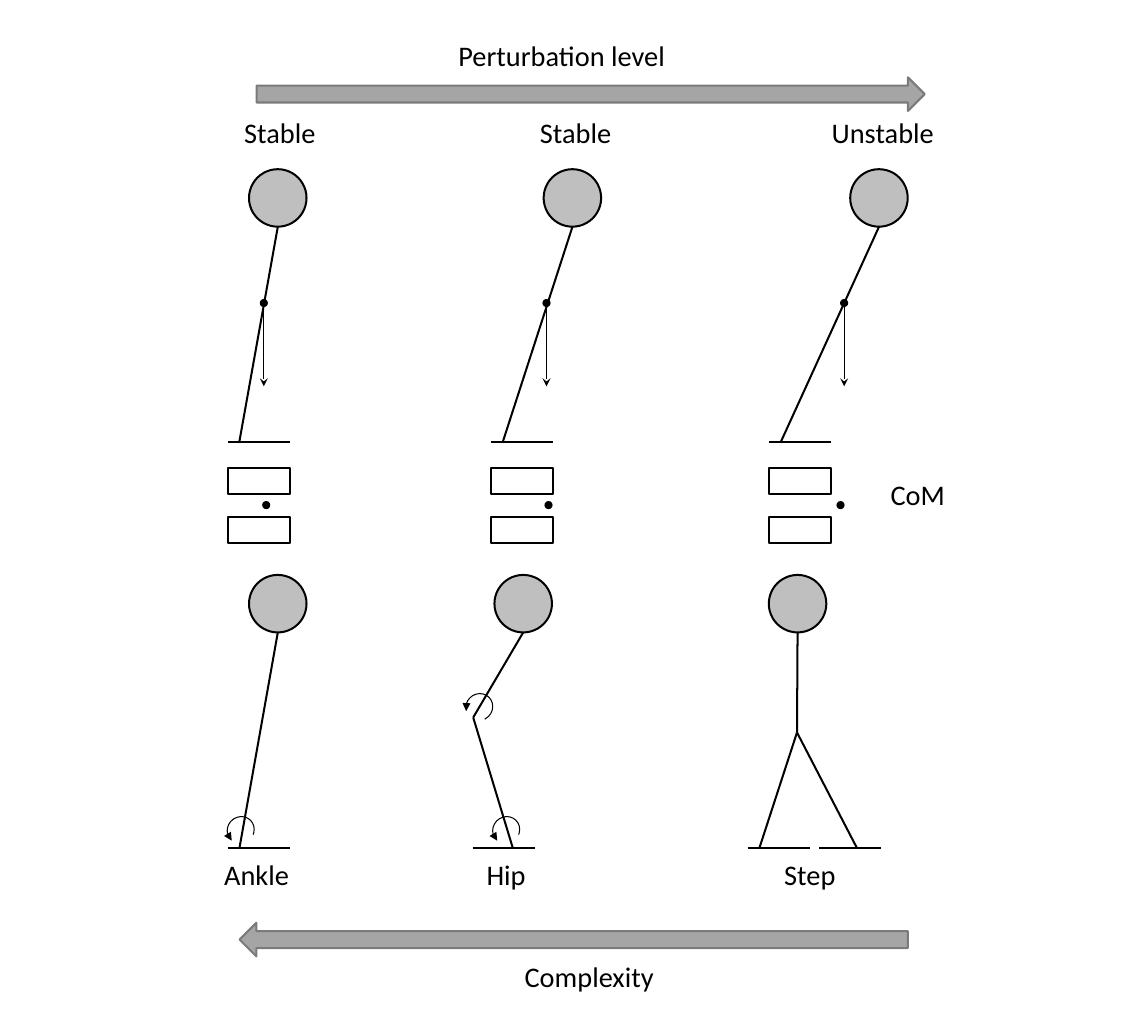
from dataclasses import dataclass

from lxml import etree
from pptx import Presentation
from pptx.dml.color import RGBColor
from pptx.enum import shapes, text
from pptx.oxml import ns
from pptx.util import Pt


@dataclass(frozen=True)
class Theme:
    ink: str = "000000"
    paper: str = "FFFFFF"
    head: str = "BFBFBF"
    arrow: str = "A5A5A5"
    arrow_edge: str = "7A7A7A"
    font: str = "Calibri"
    label_size: float = 14
    line: float = 1
    thin_line: float = 0.5


THEME = Theme()
SHAPE = shapes.MSO_SHAPE

# Shared measures, in points
HEAD = 28.4
DOT = 3
FOOT = 30.8
HEEL_TO_ANKLE = 5.8
SOLE_HEIGHT = 13
BODY_HEIGHT = 134.7  # top of the head to the ground
TOP_ROW, BOTTOM_ROW = 83.6, 284


def set_attributes(target, values):
    for name, value in values.items():
        setattr(target, name, value)


def style_line(line, color, width):
    line.color.rgb = RGBColor.from_string(color)
    line.width = Pt(width)


def add_line_end(shape, end, kind):
    """Put a small arrowhead on the headEnd (start) or tailEnd (finish) of a line."""
    line = shape.line._get_or_add_ln()
    etree.SubElement(line, ns.qn(f"a:{end}"), type=kind, w="sm", len="sm")


def add_preset(slide, preset, left, top, width, height, fill=None,
               edge=THEME.ink, line_width=THEME.line, rotation=0):
    shape = slide.shapes.add_shape(preset, Pt(left), Pt(top), Pt(width), Pt(height))
    shape.shadow.inherit = False
    shape.rotation = rotation
    if fill:
        shape.fill.solid()
        shape.fill.fore_color.rgb = RGBColor.from_string(fill)
    else:
        shape.fill.background()
    style_line(shape.line, edge, line_width)
    return shape


def add_line(slide, start, finish, width=THEME.line, tail=None):
    connector = slide.shapes.add_connector(
        shapes.MSO_CONNECTOR.STRAIGHT, *map(Pt, (*start, *finish)))
    style_line(connector.line, THEME.ink, width)
    if tail:
        add_line_end(connector, "tailEnd", tail)
    etree.SubElement(connector._element.spPr, ns.qn("a:effectLst"))


def add_chain(slide, *points):
    for start, finish in zip(points, points[1:]):
        add_line(slide, start, finish)


def add_label(slide, words, left, top, width):
    box = slide.shapes.add_textbox(Pt(left), Pt(top), Pt(width), Pt(24.2))
    set_attributes(box.text_frame, {
        "word_wrap": False,
        "auto_size": text.MSO_AUTO_SIZE.SHAPE_TO_FIT_TEXT,
    })
    run = box.text_frame.paragraphs[0].add_run()
    run.text = words
    set_attributes(run.font, {"name": THEME.font, "size": Pt(THEME.label_size)})
    run.font.color.rgb = RGBColor.from_string(THEME.ink)


def add_scale_arrow(slide, left, top, rotation=0):
    add_preset(slide, SHAPE.RIGHT_ARROW, left, top, 330, 16.6,
               THEME.arrow, THEME.arrow_edge, rotation=rotation)


def add_circle(slide, center_x, center_y, size, fill):
    add_preset(slide, SHAPE.OVAL, center_x - size / 2, center_y - size / 2,
               size, size, fill)


def add_head(slide, center_x, top):
    """Draw a head and return the neck point."""
    add_circle(slide, center_x, top + HEAD / 2, HEAD, THEME.head)
    return center_x, top + HEAD


def add_foot(slide, heel, ground):
    add_line(slide, (heel, ground), (heel + FOOT, ground))


def add_joint_turn(slide, left, top, angles):
    arc = add_preset(slide, SHAPE.ARC, left, top, 13.7, 13,
                     line_width=THEME.thin_line, rotation=133.7)
    for index, angle in enumerate(angles):
        arc.adjustments[index] = angle
    add_line_end(arc, "headEnd", "triangle")


def add_leaning_figure(slide, head_x, heel, mass_x):
    ground = TOP_ROW + BODY_HEIGHT
    neck = add_head(slide, head_x, TOP_ROW)
    add_chain(slide, neck, (heel + HEEL_TO_ANKLE, ground))
    add_foot(slide, heel, ground)
    # Centre of mass and gravity
    add_circle(slide, mass_x, 149.7, DOT, THEME.ink)
    add_line(slide, (mass_x, 148.3), (mass_x, 190.8), THEME.thin_line, "stealth")


def add_footprint(slide, heel, mass_x):
    for top in (231.1, 255.3):
        add_preset(slide, SHAPE.RECTANGLE, heel, top, FOOT, SOLE_HEIGHT, THEME.paper)
    add_circle(slide, mass_x, 249.5, DOT, THEME.ink)


def add_strategies(slide):
    ground = BOTTOM_ROW + BODY_HEIGHT
    ankle_turn, hip_turn = (213.92, 147.64), (17.59, 175.09)

    # Ankle strategy
    neck = add_head(slide, 137.2, BOTTOM_ROW)
    add_chain(slide, neck, (118.3, ground))
    add_foot(slide, 112.4, ground)
    add_joint_turn(slide, 112, 403.5, ankle_turn)

    # Hip strategy
    neck = add_head(slide, 258.4, BOTTOM_ROW)
    add_chain(slide, neck, (233.7, 354.4), (253.2, ground))
    add_foot(slide, 233.6, ground)
    add_joint_turn(slide, 243.1, 403.5, ankle_turn)
    add_joint_turn(slide, 229.8, 342.8, hip_turn)

    # Step strategy
    crotch = (393.6, 361.8)
    neck = add_head(slide, 393.9, BOTTOM_ROW)
    add_chain(slide, neck, crotch)
    for ankle, heel in ((375.1, 369.2), (423.1, 404.5)):
        add_line(slide, crotch, (ankle, ground))
        add_foot(slide, heel, ground)


def main():
    presentation = Presentation()
    # 20 by 18 centimetres
    set_attributes(presentation, {"slide_width": Pt(566.93), "slide_height": Pt(510.24)})
    slide = presentation.slides.add_slide(presentation.slide_layouts[6])

    # Scales above and below the figures
    add_scale_arrow(slide, 126.7, 38.2)
    add_scale_arrow(slide, 118.3, 455.8, rotation=180)

    # Leaning figures and footprints: head, heel, body mass, projected mass
    for head_x, heel, mass_x, projected_x in (
        (137.2, 112.4, 130.3, 131.5),
        (282.7, 242.5, 269.9, 270.9),
        (434.1, 379.8, 416.9, 415.1),
    ):
        add_leaning_figure(slide, head_x, heel, mass_x)
        add_footprint(slide, heel, projected_x)

    add_strategies(slide)

    # Labels: words, left, top, width
    state_top, strategy_top = 53.3, 419.8
    for label in (
        ("Perturbation level", 219.3, 15.1, 118.1),
        ("Stable", 113.5, state_top, 50.4),
        ("Stable", 259.6, state_top, 50.4),
        ("Unstable", 403.6, state_top, 65.5),
        ("CoM", 432.7, 232.3, 41.8),
        ("Ankle", 103.6, strategy_top, 46.8),
        ("Hip", 233.2, strategy_top, 33.8),
        ("Step", 380.2, strategy_top, 40.3),
        ("Complexity", 252, 470.2, 79.2),
    ):
        add_label(slide, *label)

    presentation.save("out.pptx")


main()
